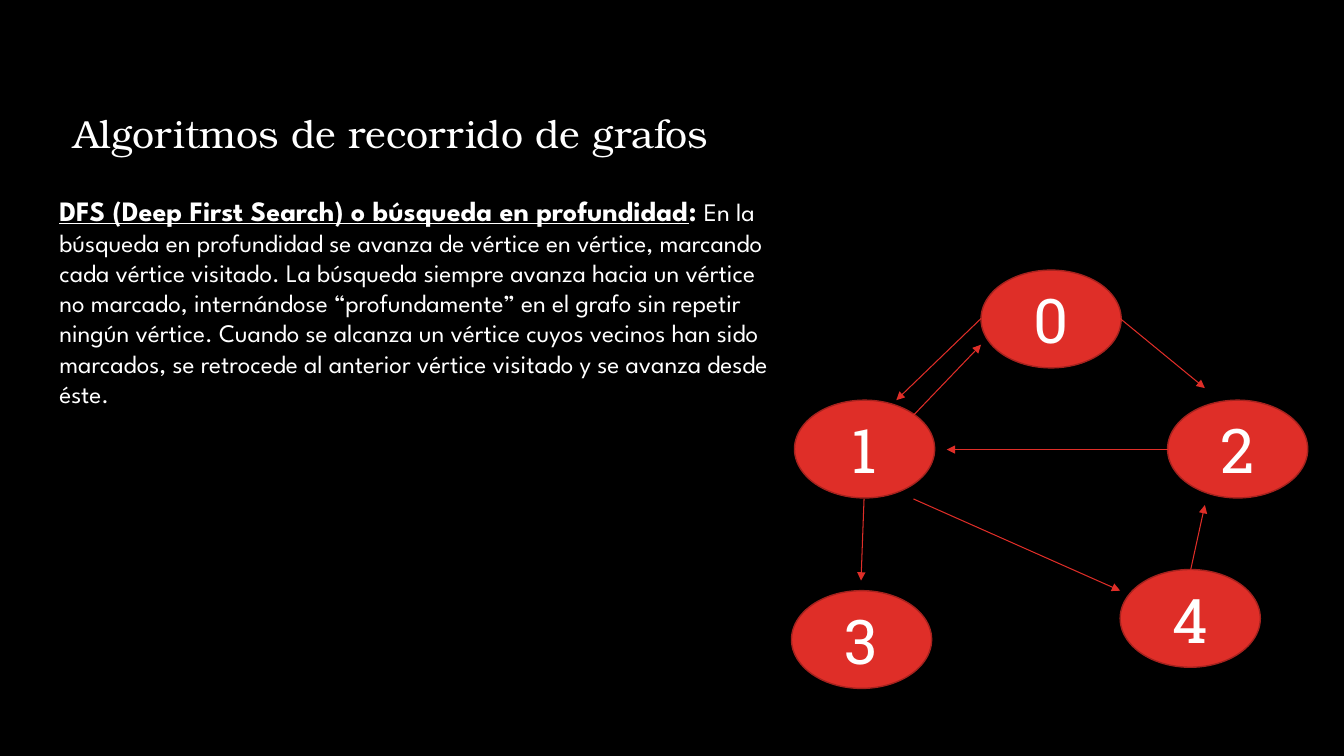
from pptx import Presentation
from pptx.dml.color import RGBColor
from pptx.enum.shapes import MSO_CONNECTOR as CONN, MSO_SHAPE as SHAPE
from pptx.enum.text import MSO_ANCHOR as ANCHOR, MSO_AUTO_SIZE as AUTO, PP_ALIGN as ALIGN
from pptx.oxml.ns import qn
from pptx.util import Inches, Pt
from lxml.etree import SubElement

COLORS = {"bg": "000000", "text": "FFFFFF", "node": "DF2E28", "border": "A5221E"}
TITLE_FONT, BODY_FONT, NODE_FONT = "TeX Gyre Bonum", "League Spartan", "Roboto Slab"
NODE_W, NODE_H = 1.39, 0.97


def rgb(name):
    return RGBColor.from_string(COLORS[name])


class GraphSlide:
    def __init__(self, prs):
        self.s = prs.slides.add_slide(prs.slide_layouts[6])
        fill = self.s.background.fill
        fill.solid()
        fill.fore_color.rgb = rgb("bg")

    def run(self, p, text, font, size, bold=False, underline=False):
        r = p.add_run()
        r.text = text
        r.font.name, r.font.size = font, Pt(size)
        r.font.bold, r.font.underline = bold, underline
        r.font.color.rgb = rgb("text")

    def text(self, box, runs):
        tf = self.s.shapes.add_textbox(*map(Inches, box)).text_frame
        tf.word_wrap = True
        tf.auto_size = AUTO.SHAPE_TO_FIT_TEXT
        for args in runs:
            self.run(tf.paragraphs[0], *args)

    def node(self, label, x, y):
        sp = self.s.shapes.add_shape(SHAPE.OVAL, *map(Inches, (x, y, NODE_W, NODE_H)))
        sp.shadow.inherit = False
        sp.fill.solid()
        sp.fill.fore_color.rgb = rgb("node")
        sp.line.color.rgb = rgb("border")
        sp.line.width = Pt(1)
        tf = sp.text_frame
        tf.vertical_anchor = ANCHOR.MIDDLE
        p = tf.paragraphs[0]
        p.alignment = ALIGN.CENTER
        self.run(p, label, NODE_FONT, 44)

    def arrow(self, start, end):
        c = self.s.shapes.add_connector(CONN.STRAIGHT, *map(Inches, start + end))
        c.line.color.rgb = rgb("node")
        c.line.width = Pt(0.75)
        SubElement(c.line._get_or_add_ln(), qn("a:tailEnd"), type="triangle")
        SubElement(c._element.spPr, qn("a:effectLst"))


def main():
    prs = Presentation()
    prs.slide_width, prs.slide_height = Inches(13.33), Inches(7.5)
    slide = GraphSlide(prs)

    # Title and explanation
    slide.text((0.63, 1.04, 8.93, 0.57),
               [("Algoritmos de recorrido de grafos", TITLE_FONT, 28)])
    slide.text((0.49, 1.87, 7.39, 2.59), [
        ("DFS (Deep First Search) o búsqueda en profundidad", BODY_FONT, 20, True, True),
        (": ", BODY_FONT, 20, True),
        ("En la búsqueda en profundidad se avanza de vértice en vértice, marcando cada "
         "vértice visitado. La búsqueda siempre avanza hacia un vértice no marcado, "
         "internándose “profundamente” en el grafo sin repetir ningún vértice. Cuando se "
         "alcanza un vértice cuyos vecinos han sido marcados, se retrocede al anterior "
         "vértice visitado y se avanza desde éste.", BODY_FONT, 18),
    ])

    # Graph vertices
    for label, x, y in [("0", 9.73, 2.68), ("4", 11.11, 5.65), ("2", 11.58, 3.97),
                        ("3", 7.85, 5.86), ("1", 7.88, 3.97)]:
        slide.node(label, x, y)

    # Directed edges
    for start, end in [
        ((9.73, 3.16), (8.89, 3.97)),   # 0 to 1
        ((9.06, 4.12), (9.73, 3.42)),   # 1 to 0
        ((11.11, 3.16), (11.95, 3.85)),  # 0 to 2
        ((11.81, 5.65), (11.95, 5.01)),  # 4 to 2
        ((9.06, 4.95), (11.11, 5.86)),  # 1 to 4
        ((8.57, 4.95), (8.54, 5.76)),   # 1 to 3
        ((11.58, 4.46), (9.39, 4.46)),  # 2 to 1
    ]:
        slide.arrow(start, end)

    prs.save("out.pptx")


if __name__ == "__main__":
    main()
